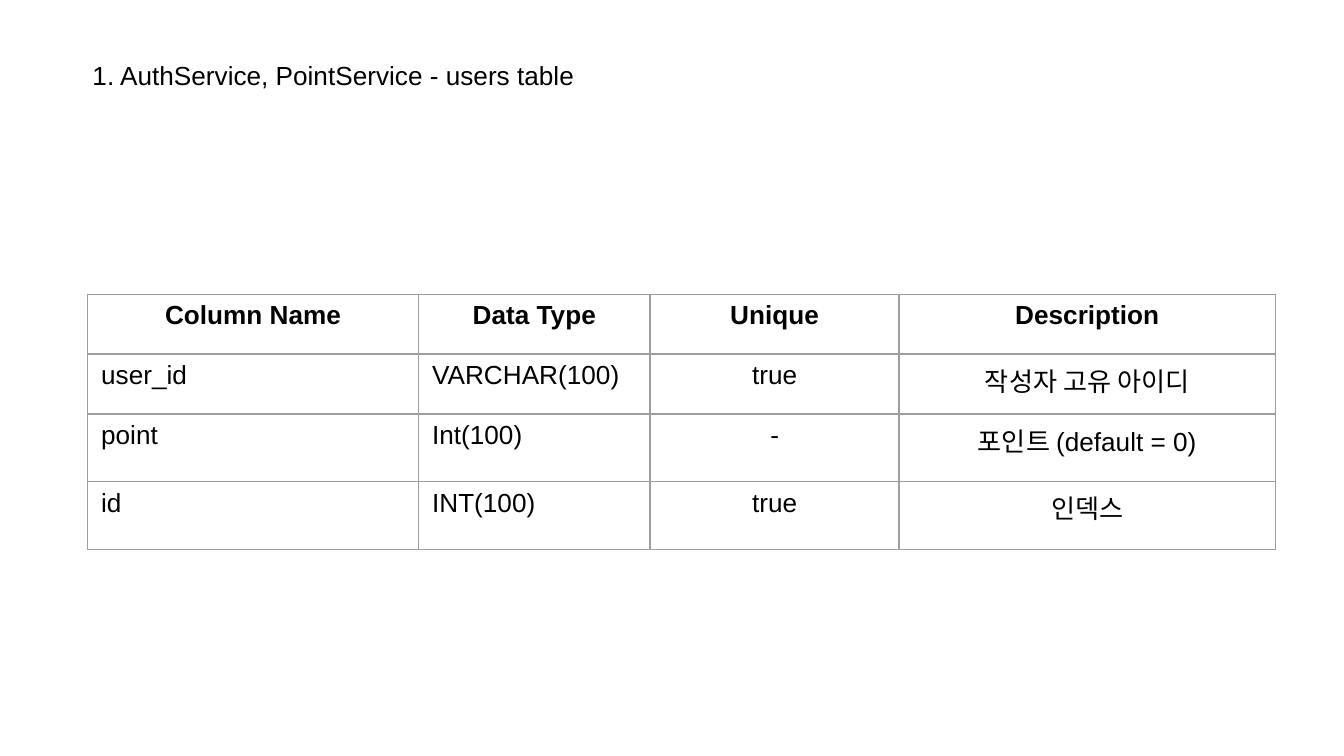
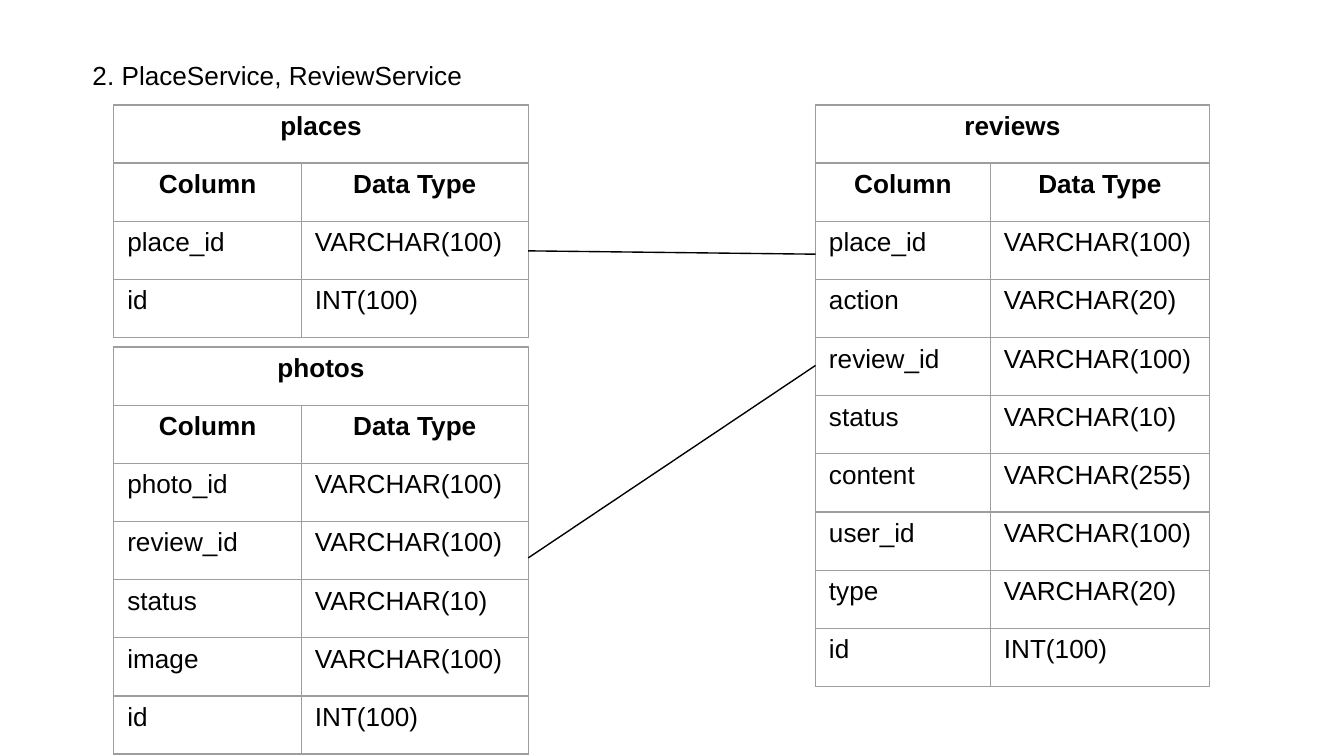
from lxml import etree
from pptx import Presentation
from pptx.dml.color import RGBColor
from pptx.enum.shapes import MSO_CONNECTOR
from pptx.enum.text import MSO_AUTO_SIZE, PP_ALIGN
from pptx.oxml.ns import qn
from pptx.util import Pt

LEFT, CENTER = PP_ALIGN.LEFT, PP_ALIGN.CENTER
STRAIGHT = MSO_CONNECTOR.STRAIGHT
GROW = MSO_AUTO_SIZE.SHAPE_TO_FIT_TEXT

FONT = "Arial"
INK = "000000"
BORDER = "9E9E9E"
LINE_WIDTH = 0.75
INSET = 7.2
TITLE_BOX = (42.5, 24.5, 438, 31.7)
SCHEMA_ROW = 31.16

USERS = [
    ("Column Name", "Data Type", "Unique", "Description"),
    ("user_id", "VARCHAR(100)", "true", "작성자 고유 아이디"),
    ("point", "Int(100)", "-", "포인트 (default = 0)"),
    ("id", "INT(100)", "true", "인덱스"),
]
PLACES = [("place_id", "VARCHAR(100)"), ("id", "INT(100)")]
REVIEWS = [
    ("place_id", "VARCHAR(100)"),
    ("action", "VARCHAR(20)"),
    ("review_id", "VARCHAR(100)"),
    ("status", "VARCHAR(10)"),
    ("content", "VARCHAR(255)"),
    ("user_id", "VARCHAR(100)"),
    ("type", "VARCHAR(20)"),
    ("id", "INT(100)"),
]
PHOTOS = [
    ("photo_id", "VARCHAR(100)"),
    ("review_id", "VARCHAR(100)"),
    ("status", "VARCHAR(10)"),
    ("image", "VARCHAR(100)"),
    ("id", "INT(100)"),
]


def color(value):
    return RGBColor.from_string(value)


def write(frame, text, size=14, bold=False, align=LEFT, ink=INK):
    frame.word_wrap = True
    frame.margin_left = frame.margin_right = Pt(INSET)
    frame.margin_top = frame.margin_bottom = Pt(INSET)
    paragraph = frame.paragraphs[0]
    paragraph.alignment = align
    run = paragraph.add_run()
    run.text = text
    run.font.name = FONT
    run.font.size = Pt(size)
    run.font.bold = bold
    run.font.color.rgb = color(ink)


def add_title(slide, text):
    shape = slide.shapes.add_textbox(*map(Pt, TITLE_BOX))
    write(shape.text_frame, text)
    shape.text_frame.auto_size = GROW


def style_cell(cell):
    """Thin grey border on every side, no fill."""
    properties = cell._tc.get_or_add_tcPr()
    for side in ("a:lnL", "a:lnR", "a:lnT", "a:lnB"):
        line = etree.SubElement(properties, qn(side), w=str(Pt(LINE_WIDTH)))
        fill = etree.SubElement(line, qn("a:solidFill"))
        etree.SubElement(fill, qn("a:srgbClr"), val=BORDER)
    cell.fill.background()


def add_grid(slide, left, top, columns, heights, rows, headers=1, centered=()):
    """Table with bold centred header rows; a one-entry row spans the table."""
    table = slide.shapes.add_table(
        len(rows), len(columns), Pt(left), Pt(top),
        Pt(sum(columns)), Pt(sum(heights))).table
    table.first_row = table.horz_banding = False
    for column, width in zip(table.columns, columns):
        column.width = Pt(width)
    for row, height in zip(table.rows, heights):
        row.height = Pt(height)
    for cell in table.iter_cells():
        style_cell(cell)
    for i, texts in enumerate(rows):
        if len(texts) == 1:
            table.cell(i, 0).merge(table.cell(i, len(columns) - 1))
        for j, text in enumerate(texts):
            header = i < headers
            align = CENTER if header or j in centered else LEFT
            write(table.cell(i, j).text_frame, text, bold=header, align=align)


def add_schema(slide, left, top, columns, name, fields):
    rows = [(name,), ("Column", "Data Type"), *fields]
    add_grid(slide, left, top, columns, [SCHEMA_ROW] * len(rows), rows, headers=2)


def add_relation(slide, *ends):
    connector = slide.shapes.add_connector(STRAIGHT, *map(Pt, ends))
    connector.line.color.rgb = color(INK)
    connector.line.width = Pt(LINE_WIDTH)
    etree.SubElement(connector._element.spPr, qn("a:effectLst"))


def build_users(slide):
    add_title(slide, "1. AuthService, PointService - users table")
    add_grid(slide, 47, 157.6, (177.3, 124, 133.4, 201.6),
             (32.1, 32.1, 36.2, 36.2), USERS, centered=(2, 3))


def build_places(slide):
    add_title(slide, "2. PlaceService, ReviewService")
    left, right, top = 61, 436.9, 56.2
    narrow = (100.5, 121.5)
    left_edge = left + sum(narrow)

    # Tables, with the relations between their keys
    add_schema(slide, left, top, narrow, "places", PLACES)
    add_schema(slide, right, top, (93.7, 117.3), "reviews", REVIEWS)
    add_relation(slide, left_edge, 134.4, right, 136.2)
    add_schema(slide, left, 185.9, narrow, "photos", PHOTOS)
    add_relation(slide, left_edge, 298.9, right, 195.8)


def main():
    presentation = Presentation()
    presentation.slide_width, presentation.slide_height = Pt(720), Pt(405)
    for build in (build_users, build_places):
        build(presentation.slides.add_slide(presentation.slide_layouts[6]))
    presentation.save("out.pptx")


if __name__ == "__main__":
    main()
